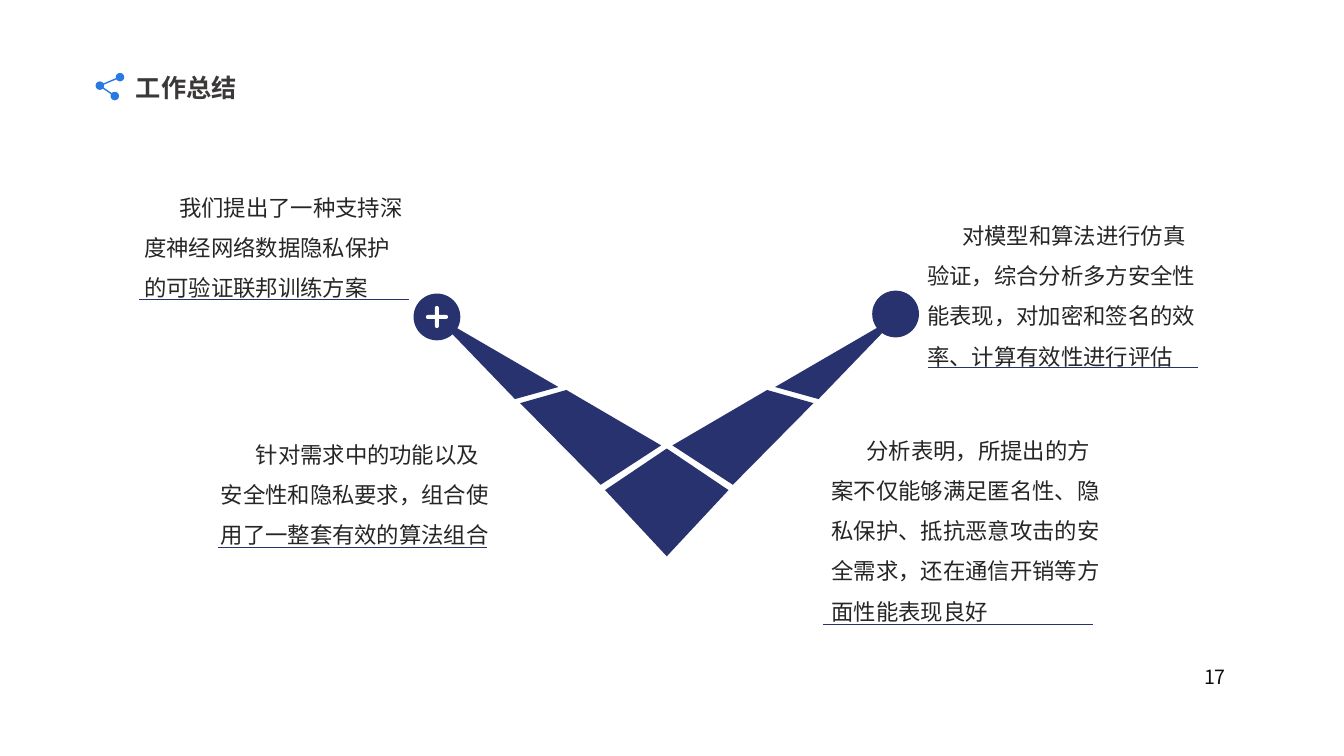
from lxml.etree import SubElement
from pptx import Presentation
from pptx.dml.color import RGBColor
from pptx.enum.shapes import MSO_CONNECTOR, MSO_SHAPE
from pptx.enum.text import MSO_ANCHOR, PP_ALIGN
from pptx.oxml.ns import qn
from pptx.util import Pt

FONT = "Noto Sans CJK SC"
COLORS = {"navy": "28326F", "blue": "2979E3", "title": "3B3838",
          "body": "262626", "page": "0D0D0D", "white": "FFFFFF"}

TITLE = ("工作总结", (90, 48.2, 87.1, 28.8))
PAGE = ("17", (670.3, 470.9, 212.4, 25.2))
NOTES = [
    ("我们提出了一种支持深度神经网络数据隐私保护的可验证联邦训练方案",
     (103, 128.9, 189.4, 85), (99.4, 213.8)),
    ("针对需求中的功能以及安全性和隐私要求，组合使用了一整套有效的算法组合",
     (157.7, 305.3, 195.1, 85), (155.5, 391)),
    ("对模型和算法进行仿真验证，综合分析多方安全性能表现，对加密和签名的效率、计算有效性进行评估",
     (662.4, 149, 195.1, 112.3), (663.1, 262.1)),
    ("分析表明，所提出的方案不仅能够满足匿名性、隐私保护、抵抗恶意攻击的安全需求，还在通信开销等方面性能表现良好",
     (594, 302.4, 195.1, 143.3), (588.2, 445.7)),
]
RULE_W = 192.5
INDENT = 25

AXIS = 476.3
TIP = [(367.9, 285.1), (398.9, 276.5), (309.6, 224.6)]
ARM = [(404.6, 278.6), (371.5, 288), (429.1, 346.3), (472.3, 318.2)]
BASE = [(AXIS, 320.4), (432.2, 350.1), (AXIS, 397.4), (520.4, 350.1)]
ENDS = [(312.1, 226.4), (639.7, 224.3)]
END_D = 32.4
PLUS_L, PLUS_W = 15.8, 2.9

NODES = [(85.7, 55.1), (71.3, 61.2), (82, 68.6)]
NODE_D = 6.1


def rgb(name):
    return RGBColor.from_string(COLORS[name])


def paint(sp, color):
    sp.shadow.inherit = False
    sp.fill.solid()
    sp.fill.fore_color.rgb = rgb(color)
    sp.line.fill.background()
    return sp


def centred(s, kind, center, w, h, color):
    (x, y) = center
    return paint(s.shapes.add_shape(kind, Pt(x - w / 2), Pt(y - h / 2), Pt(w), Pt(h)), color)


def polygon(s, points):
    pts = [(Pt(x), Pt(y)) for x, y in points]
    fb = s.shapes.build_freeform(*pts[0], scale=1.0)
    fb.add_line_segments(pts[1:], close=True)
    paint(fb.convert_to_shape(), "navy")


def line(s, start, end, color, width):
    ends = [Pt(v) for v in (*start, *end)]
    ln = s.shapes.add_connector(MSO_CONNECTOR.STRAIGHT, *ends)
    ln.line.color.rgb = rgb(color)
    ln.line.width = Pt(width)
    SubElement(ln._element.spPr, qn("a:effectLst"))


def text(s, words, box, color, font, frame, para):
    tf = s.shapes.add_textbox(*[Pt(v) for v in box]).text_frame
    p = tf.paragraphs[0]
    r = p.add_run()
    r.text = words
    r.font.color.rgb = rgb(color)
    for obj, values in ((tf, frame), (p, para), (r.font, {"name": FONT, **font})):
        for key, value in values.items():
            setattr(obj, key, value)
    SubElement(r.font._element, qn("a:ea")).set("typeface", FONT)
    return p


def main():
    prs = Presentation()
    prs.slide_width, prs.slide_height = Pt(960), Pt(540)
    s = prs.slides.add_slide(prs.slide_layouts[6])

    text(s, *TITLE, "title", {"size": Pt(18), "bold": True}, {"word_wrap": False}, {})
    for node in NODES:
        centred(s, MSO_SHAPE.OVAL, node, NODE_D, NODE_D, "blue")
    for start, end in zip(NODES, NODES[1:]):
        line(s, start, end, "blue", 1)

    for piece in (TIP, ARM):
        polygon(s, piece)
        polygon(s, [(2 * AXIS - x, y) for x, y in piece])
    polygon(s, BASE)

    for end in ENDS:
        sp = centred(s, MSO_SHAPE.OVAL, end, END_D, END_D, "navy")
        sp.line.color.rgb = rgb("navy")
        sp.line.width = Pt(1)
    for w, h in ((PLUS_L, PLUS_W), (PLUS_W, PLUS_L)):
        bar = centred(s, MSO_SHAPE.ROUNDED_RECTANGLE, ENDS[0], w, h, "white")
        bar.adjustments[0] = 0.5

    flush = dict.fromkeys(("margin_left", "margin_top", "margin_right", "margin_bottom"), 0)
    for words, box, (x, y) in NOTES:
        p = text(s, words, box, "body", {"size": Pt(16)},
                 {"word_wrap": True, **flush}, {"line_spacing": 1.5})
        p._p.get_or_add_pPr().set("indent", str(Pt(INDENT)))
        line(s, (x, y), (x + RULE_W, y), "navy", 0.5)

    text(s, *PAGE, "page", {"size": Pt(14)},
         {"word_wrap": True, "vertical_anchor": MSO_ANCHOR.MIDDLE},
         {"alignment": PP_ALIGN.RIGHT})
    prs.save("out.pptx")


if __name__ == "__main__":
    main()
